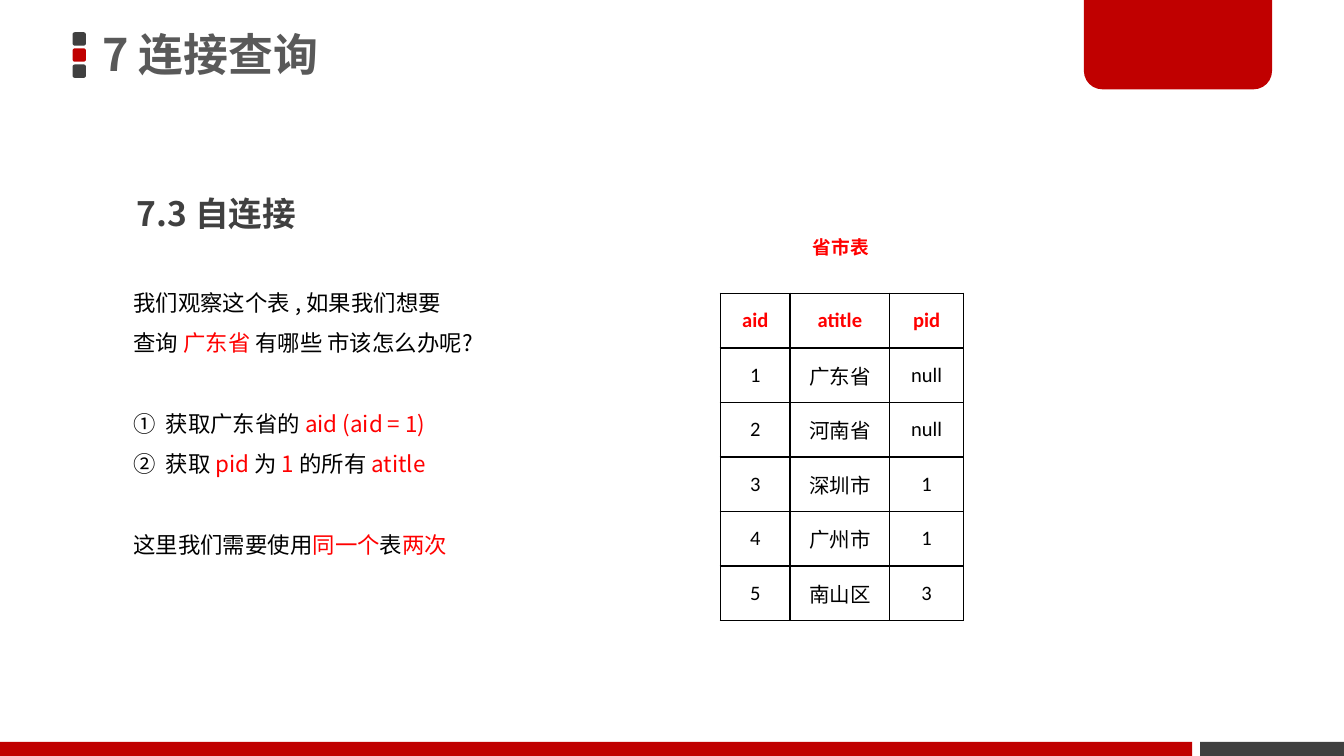
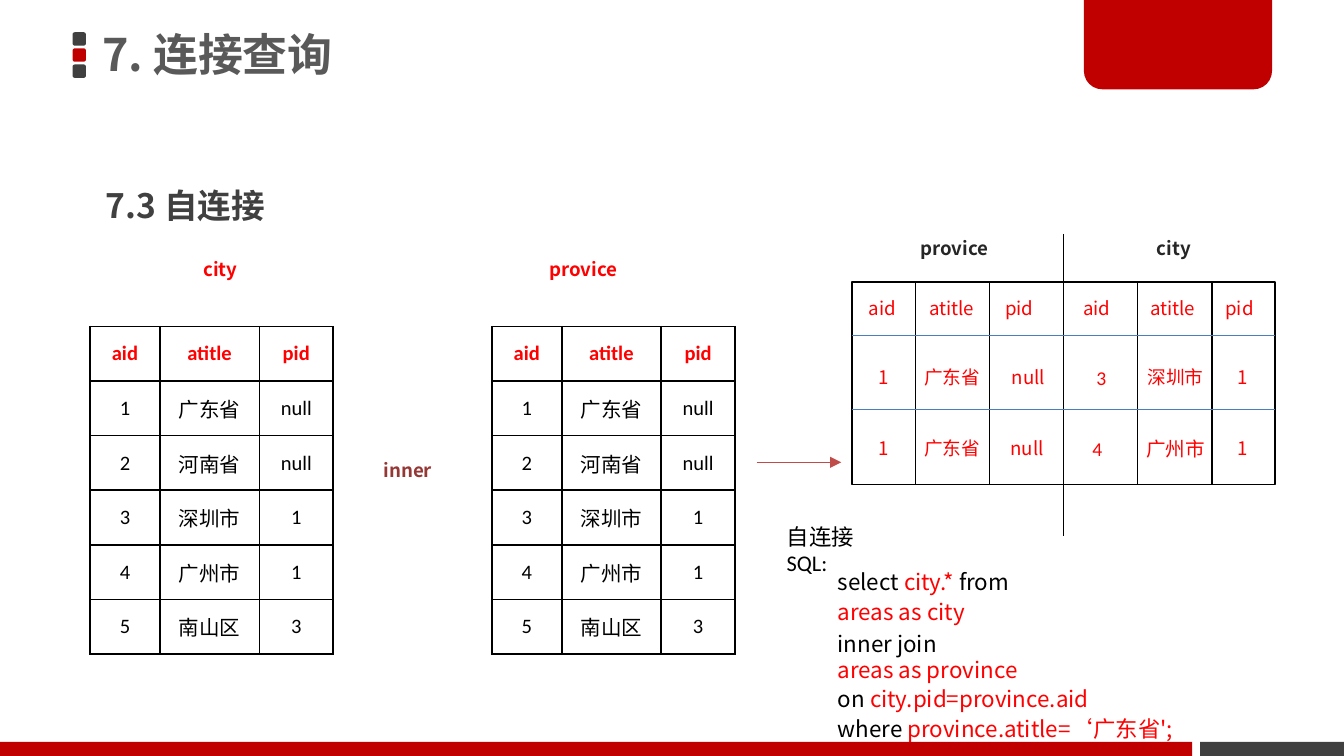
"""Build two slides that explain a self join on a province and city table."""

import dataclasses
import typing

import pptx
import pptx.dml.color
import pptx.enum.shapes
import pptx.enum.text
import pptx.oxml.ns
import pptx.util
from lxml import etree

COLUMNS, ROWS = 100, 56.25
CELL = pptx.util.Inches(0.1)
SANS, CALIBRI = "Noto Sans CJK SC", "Calibri"
CRIMSON, CHARCOAL, TITLE_GREY = "C00000", "404040", "595959"
RED, BLACK, WHITE = "FF0000", "000000", "FFFFFF"
INK, MAROON, ARROW_RED, RULE_BLUE = "262626", "953735", "BF4C48", "4B7EBC"
SHAPES = pptx.enum.shapes.MSO_SHAPE
AREAS = (
    ("aid", "atitle", "pid"),
    ("1", "广东省", "null"),
    ("2", "河南省", "null"),
    ("3", "深圳市", "1"),
    ("4", "广州市", "1"),
    ("5", "南山区", "3"),
)


@dataclasses.dataclass(frozen=True)
class Box:
    left: float
    top: float
    width: float
    height: float

    def lengths(self) -> tuple[int, ...]:
        return tuple(grid(n) for n in dataclasses.astuple(self))


@dataclasses.dataclass(frozen=True)
class Band:
    box: Box
    color: str
    preset: typing.Any = SHAPES.RECTANGLE
    adjustments: tuple[float, ...] = ()
    outline: typing.Optional[str] = None


@dataclasses.dataclass(frozen=True)
class Line:
    text: str
    space_before: float = 0
    numbered: bool = False


@dataclasses.dataclass(frozen=True)
class Label:
    box: Box
    lines: tuple[Line, ...]
    size: float = 10
    color: str = RED
    bold: bool = False
    font: str = SANS
    spacing: typing.Optional[float] = None
    wrap: bool = False


@dataclasses.dataclass(frozen=True)
class Rule:
    start: tuple[float, float]
    end: tuple[float, float]
    color: str = BLACK
    arrow: bool = False


@dataclasses.dataclass(frozen=True)
class JoinedColumn:
    heading: str
    heading_left: float
    heading_width: float
    value_lefts: tuple[float, float]
    value_width: float
    values: tuple[str, str]
    font: str = SANS
    sizes: tuple[float, float] = (10, 10)


BANDS = (
    *(
        Band(Box(5.4, 2.4 + 1.2 * i, 1, 1), color, SHAPES.ROUNDED_RECTANGLE, (0.17,))
        for i, color in enumerate((CHARCOAL, CRIMSON, CHARCOAL))
    ),
    Band(Box(89.3, 55.2, 10.7, 1.05), CHARCOAL),
    Band(Box(80.65, -0.2, 14, 6.85), CRIMSON, SHAPES.ROUND_2_SAME_RECTANGLE, (0, 0.2)),
    Band(Box(0, 55.2, 88.7, 1.05), CRIMSON),
)

QUESTION = (
    Line("我们观察这个表 , 如果我们想要"),
    Line("查询 |广东省| 有哪些 市该怎么办呢?"),
    Line("获取广东省的 |aid (aid = 1)", 21.7, True),
    Line("获取 |pid| 为 |1| 的所有 |atitle", 0, True),
    Line("这里我们需要使用|同一个|表|两次", 21.7),
)

JOINED = Box(63.4, 21, 31.5, 15.05)
JOINED_COLUMNS = (
    JoinedColumn("aid", 63.65, 4.1, (64.4, 64.4), 2.9, ("1", "1")),
    JoinedColumn("atitle", 68.15, 5.5, (67.8, 67.8), 6.4, ("广东省", "广东省")),
    JoinedColumn("pid", 73.8, 4.3, (74.3, 74.2), 4.6, ("null", "null")),
    JoinedColumn("aid", 79.6, 4.2, (80.6, 80.3), 2.8, ("3", "4"), CALIBRI, (10.5, 10.5)),
    JoinedColumn("atitle", 84.6, 5.5, (84.4, 84.3), 6.5, ("深圳市", "广州市"), CALIBRI, (10, 10.5)),
    JoinedColumn("pid", 90.2, 4.3, (91.1, 91.1), 2.9, ("1", "1")),
)

SQL = (
    (41.8, 16.3, "select |city.* |from"),
    (44, 12.2, "|areas as city"),
    (46.4, 10.1, "inner join"),
    (48.3, 16.3, "|areas as province"),
    (50.5, 21.8, "on |city.pid=province.aid"),
    (52.7, 38.6, "where |province.atitle=‘广东省';"),
)


def grid(cells: float) -> int:
    """Turn grid columns or rows into a length."""
    return round(cells * CELL)


def rgb(color: str) -> pptx.dml.color.RGBColor:
    """Turn a hex string into a colour."""
    return pptx.dml.color.RGBColor.from_string(color)


def style(paragraph, font: str, size: float, color: str, bold: bool = False) -> None:
    """Set the Latin and East Asian font of a whole paragraph."""
    paragraph.font.name = font
    paragraph.font.size = pptx.util.Pt(size)
    paragraph.font.bold = bold
    paragraph.font.color.rgb = rgb(color)
    defaults = paragraph._p.pPr.find(pptx.oxml.ns.qn("a:defRPr"))
    etree.SubElement(defaults, pptx.oxml.ns.qn("a:ea"), typeface=SANS)


def add_band(slide, band: Band) -> None:
    """Draw a filled preset shape."""
    shape = slide.shapes.add_shape(band.preset, *band.box.lengths())
    shape.shadow.inherit = False
    for i, value in enumerate(band.adjustments):
        shape.adjustments[i] = value
    shape.fill.solid()
    shape.fill.fore_color.rgb = rgb(band.color)
    if band.outline:
        shape.line.color.rgb = rgb(band.outline)
        shape.line.width = pptx.util.Pt(1)
    else:
        shape.line.fill.background()


def add_rule(slide, rule: Rule) -> None:
    """Draw a straight line, with an arrowhead if asked."""
    connector = slide.shapes.add_connector(
        pptx.enum.shapes.MSO_CONNECTOR.STRAIGHT,
        *(grid(n) for n in rule.start + rule.end),
    )
    connector.line.color.rgb = rgb(rule.color)
    connector.line.width = pptx.util.Pt(0.75)
    properties = connector._element.spPr
    if rule.arrow:
        outline = properties.find(pptx.oxml.ns.qn("a:ln"))
        etree.SubElement(outline, pptx.oxml.ns.qn("a:tailEnd"), type="triangle")
    etree.SubElement(properties, pptx.oxml.ns.qn("a:effectLst"))


def add_label(slide, label: Label) -> None:
    """Write a text box; bars in a line switch between its colour and red."""
    frame = slide.shapes.add_textbox(*label.box.lengths()).text_frame
    frame.word_wrap = label.wrap
    frame.auto_size = pptx.enum.text.MSO_AUTO_SIZE.SHAPE_TO_FIT_TEXT
    for i, line in enumerate(label.lines):
        paragraph = frame.add_paragraph() if i else frame.paragraphs[0]
        if label.spacing:
            paragraph.line_spacing = label.spacing
        if line.space_before:
            paragraph.space_before = pptx.util.Pt(line.space_before)
        if line.numbered:
            properties = paragraph._p.get_or_add_pPr()
            properties.set("marL", str(grid(2.4)))
            properties.set("indent", str(-grid(2.4)))
            etree.SubElement(
                properties, pptx.oxml.ns.qn("a:buAutoNum"), type="circleNumDbPlain"
            )
        style(paragraph, label.font, label.size, label.color, label.bold)
        for position, part in enumerate(line.text.split("|")):
            if part:
                run = paragraph.add_run()
                run.text = part
                if position % 2:
                    run.font.color.rgb = rgb(RED)


def add_caption(slide, left: float, top: float, width: float, text: str, **looks) -> None:
    """Write a one-line label."""
    add_label(slide, Label(Box(left, top, width, 2.8), (Line(text),), **looks))


def add_areas(slide, left: float, top: float) -> None:
    """Draw the bordered table of areas."""
    widths = (5.2, 7.4, 5.5)
    box = Box(left, top, sum(widths), 4.06 * len(AREAS))
    table = slide.shapes.add_table(len(AREAS), len(widths), *box.lengths()).table
    table.first_row = table.horz_banding = False
    for column, width in zip(table.columns, widths):
        column.width = grid(width)
    for r, record in enumerate(AREAS):
        for c, value in enumerate(record):
            cell = table.cell(r, c)
            cell.text = value
            cell.vertical_anchor = pptx.enum.text.MSO_ANCHOR.MIDDLE
            paragraph = cell.text_frame.paragraphs[0]
            paragraph.alignment = pptx.enum.text.PP_ALIGN.CENTER
            style(paragraph, CALIBRI, 11, BLACK if r else RED, r == 0)
            properties = cell._tc.get_or_add_tcPr()
            for side in ("lnL", "lnR", "lnT", "lnB"):
                border = etree.SubElement(
                    properties, pptx.oxml.ns.qn(f"a:{side}"), w=str(pptx.util.Pt(1))
                )
                fill = etree.SubElement(border, pptx.oxml.ns.qn("a:solidFill"))
                etree.SubElement(fill, pptx.oxml.ns.qn("a:srgbClr"), val=BLACK)
            cell.fill.background()


def add_page(deck, title: str, section_left: float, section_top: float):
    """Add a slide with the shared bands, title and section heading."""
    slide = deck.slides.add_slide(deck.slide_layouts[5])
    for band in BANDS:
        add_band(slide, band)
    heading = slide.shapes.title
    heading.left, heading.top, heading.width, heading.height = Box(
        6.9, -0.2, 58.9, 8.9
    ).lengths()
    frame = heading.text_frame
    frame.text = title
    frame.auto_size = pptx.enum.text.MSO_AUTO_SIZE.NONE
    frame.vertical_anchor = pptx.enum.text.MSO_ANCHOR.MIDDLE
    frame.margin_left = frame.margin_right = grid(0.7)
    frame.margin_top = frame.margin_bottom = grid(0.4)
    paragraph = frame.paragraphs[0]
    paragraph.alignment = pptx.enum.text.PP_ALIGN.LEFT
    paragraph.line_spacing = 0.9
    style(paragraph, SANS, 24, TITLE_GREY, True)
    section = Box(section_left, section_top, 38.4, 5)
    add_label(
        slide,
        Label(section, (Line("7.3 自连接"),), 18, CHARCOAL, True, spacing=1.5, wrap=True),
    )
    return slide


def add_joined(slide) -> None:
    """Draw the joined result with its rules, headings and values."""
    add_band(slide, Band(JOINED, WHITE, outline=BLACK))
    bottom, right = JOINED.top + JOINED.height, JOINED.left + JOINED.width
    for i in range(5):
        x = 68.1 + 5.52 * i
        top, end = (17.4, 39.9) if i == 2 else (JOINED.top, bottom)
        add_rule(slide, Rule((x, top), (x, end)))
    for y in (24.95, 30.45):
        add_rule(slide, Rule((JOINED.left, y), (right, y), RULE_BLUE))
    for column in JOINED_COLUMNS:
        add_caption(slide, column.heading_left, 21.6, column.heading_width, column.heading)
        for left, top, value, size in zip(
            column.value_lefts, (26.7, 32), column.values, column.sizes
        ):
            add_caption(
                slide, left, top, column.value_width, value, size=size, font=column.font
            )
    add_caption(slide, 67.5, 17.1, 7.5, "provice", color=INK, bold=True)
    add_caption(slide, 85.1, 17.1, 4.7, "city", color=INK, bold=True)


def main() -> None:
    """Build and save the deck."""
    deck = pptx.Presentation()
    deck.slide_width, deck.slide_height = grid(COLUMNS), grid(ROWS)

    question = add_page(deck, "7 连接查询", 9.2, 12.4)
    add_label(question, Label(Box(8.95, 20, 27.9, 24.4), QUESTION, 12, BLACK, spacing=1.5))
    add_caption(question, 59.5, 17.05, 6.4, "省市表", bold=True)
    add_areas(question, 53.6, 21.83)

    answer = add_page(deck, "7. 连接查询", 6.9, 11.8)
    add_rule(answer, Rule((56.3, 34.4), (62.6, 34.4), ARROW_RED, True))
    add_joined(answer)
    add_caption(answer, 57.55, 38.4, 9, "自连接SQL:", size=12, color=BLACK, font=CALIBRI, wrap=True)
    add_caption(answer, 14.15, 18.7, 4.7, "city", bold=True)
    add_caption(answer, 39.9, 18.7, 7.5, "provice", bold=True)
    add_caption(answer, 27.55, 33.65, 5.8, "inner", color=MAROON, bold=True)
    for left in (6.7, 36.6):
        add_areas(answer, left, 24.3)
    for top, width, code in SQL:
        add_caption(answer, 61.35, top, width, code, size=12, color=BLACK)
    deck.save("out.pptx")


if __name__ == "__main__":
    main()
